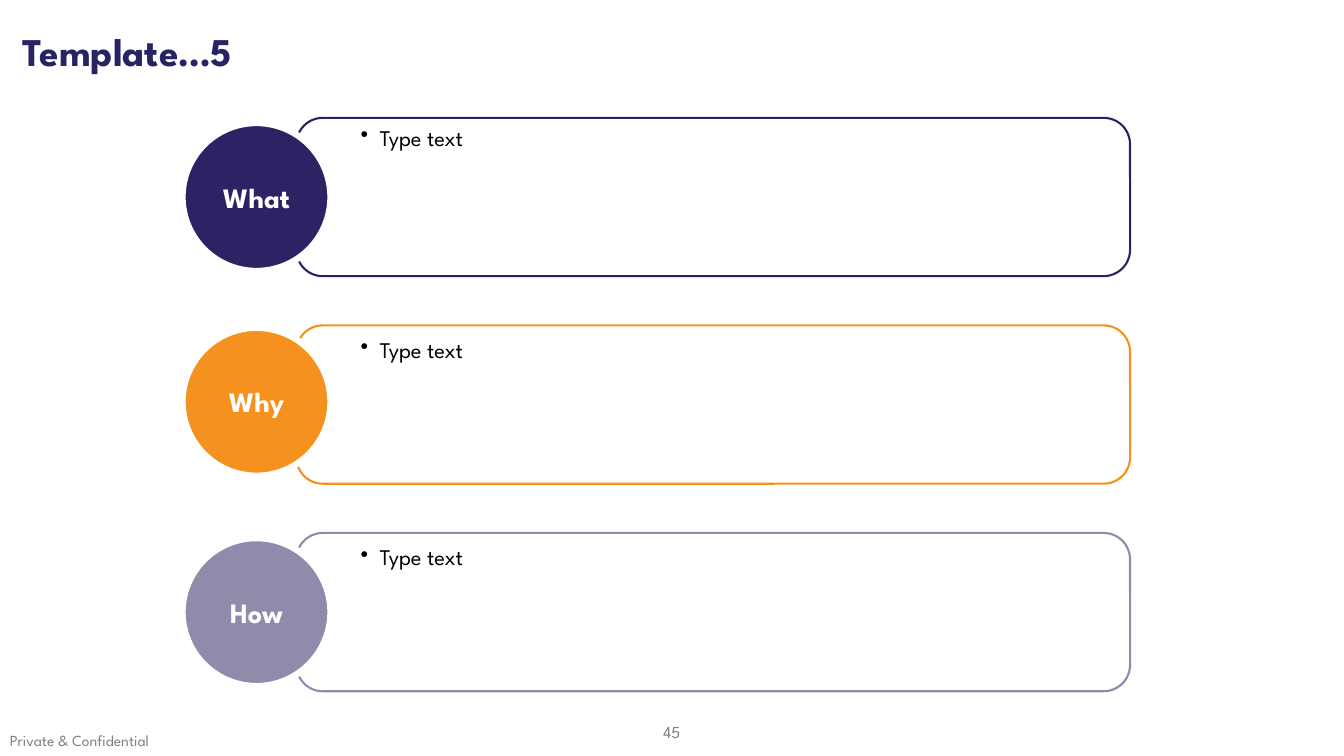
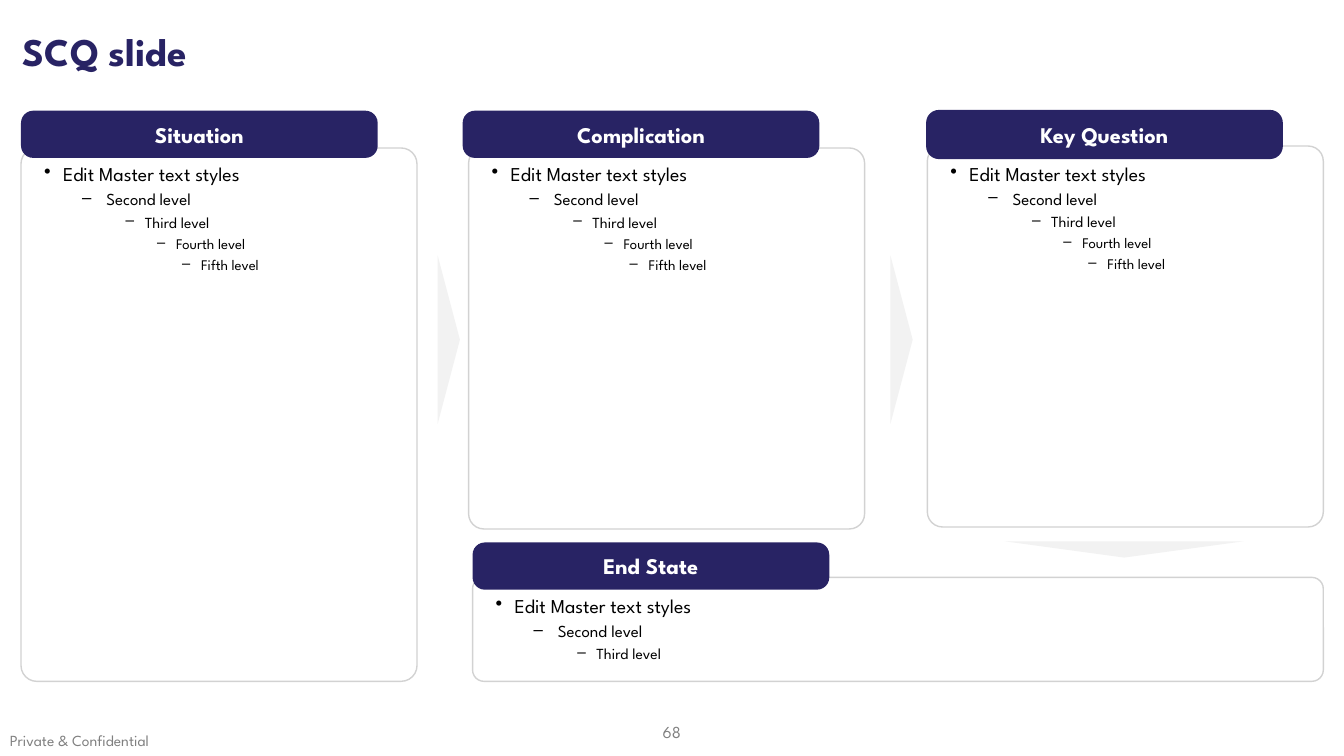
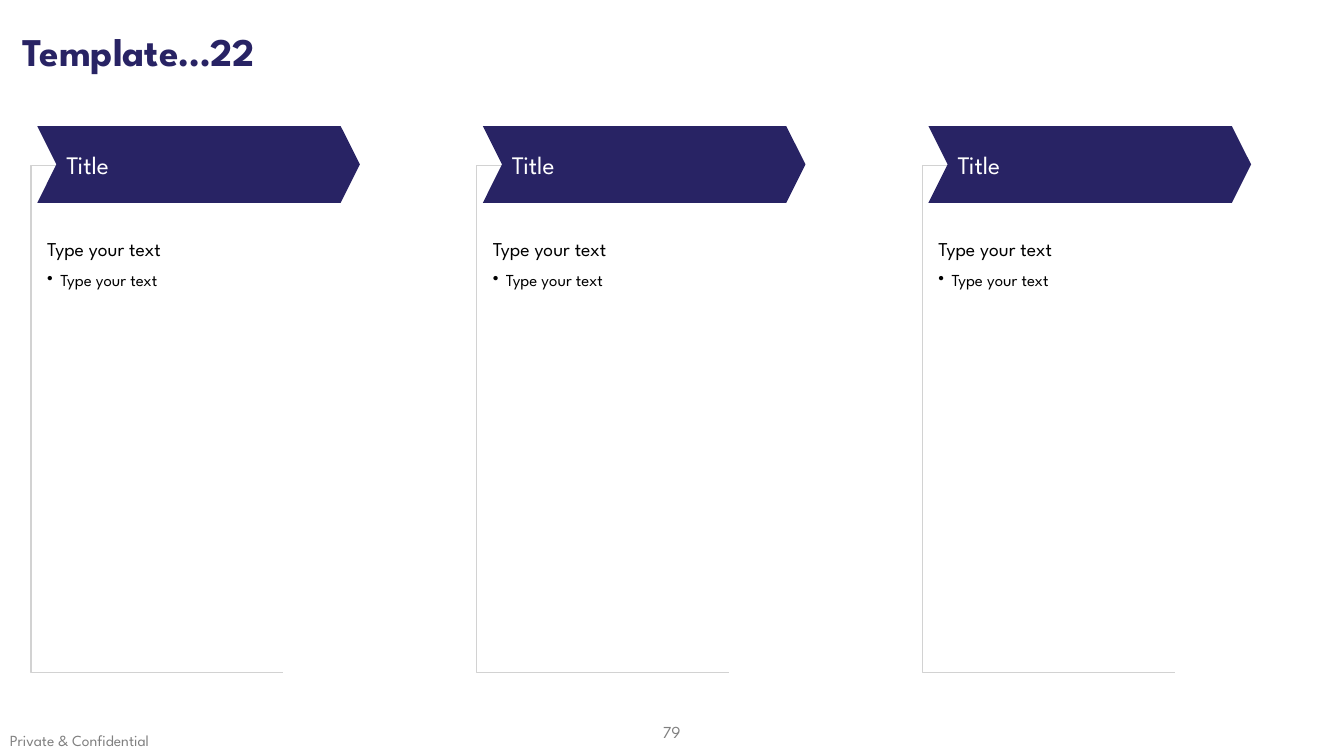
from lxml import etree
from pptx import Presentation
from pptx.dml.color import RGBColor
from pptx.enum.shapes import MSO_CONNECTOR, MSO_SHAPE
from pptx.enum.text import MSO_ANCHOR, PP_ALIGN
from pptx.oxml.ns import qn
from pptx.util import Cm, Pt

ROUNDED = MSO_SHAPE.ROUNDED_RECTANGLE
OVAL = MSO_SHAPE.OVAL
TRIANGLE = MSO_SHAPE.ISOSCELES_TRIANGLE
CHEVRON = MSO_SHAPE.CHEVRON
ELBOW = MSO_CONNECTOR.ELBOW
MIDDLE = MSO_ANCHOR.MIDDLE
LEFT, CENTER = PP_ALIGN.LEFT, PP_ALIGN.CENTER

FONT = "League Spartan"
NAVY, INDIGO, ORANGE, MAUVE = "282364", "2D2364", "F5911E", "918AAA"
WHITE, BLACK, GREY, RULE, PALE = "FFFFFF", "000000", "808080", "D2D2D2", "F2F2F2"


def paint(fill, colour):
    """Give a shape, line or font fill one solid colour."""
    fill.solid()
    fill.fore_color.rgb = RGBColor.from_string(colour)


def write(frame, text, size, colour=BLACK, bold=False, align=LEFT, bullet=None,
          margin=0, indent=0, spacing=1.0, before=0):
    """Add one paragraph, using the empty first one if there is one."""
    frame.word_wrap = True
    para = frame.paragraphs[0]
    if para.runs:
        para = frame.add_paragraph()
        para.space_before = Pt(before)
    para.alignment = align
    para.line_spacing = spacing
    properties = para._p.get_or_add_pPr()
    properties.set("marL", str(Cm(margin)))
    properties.set("indent", str(Cm(indent)))
    if bullet:
        etree.SubElement(properties, qn("a:buChar")).set("char", bullet)
    span = para.add_run()
    span.text = text
    span.font.name = FONT
    span.font.size = Pt(size)
    span.font.bold = bold
    paint(span.font.fill, colour)


deck = Presentation()
deck.slide_width, deck.slide_height = Cm(33.87), Cm(19.05)

# Titles and footers
pages = []
for title, number in (("Template…5", "45"), ("SCQ slide", "68"), ("Template…22", "79")):
    page = deck.slides.add_slide(deck.slide_layouts[6])
    pages.append(page)
    box = page.shapes.add_textbox(Cm(16.18), Cm(17.93), Cm(1.5), Cm(1.02))
    box.text_frame.vertical_anchor = MIDDLE
    write(box.text_frame, number, 12, GREY, align=CENTER)
    box = page.shapes.add_textbox(Cm(0), Cm(18.31), Cm(8.43), Cm(0.74))
    write(box.text_frame, "Private & Confidential", 11, GREY)
    box = page.shapes.add_textbox(Cm(0), Cm(0.03), deck.slide_width, Cm(2.67))
    box.text_frame.vertical_anchor = MIDDLE
    write(box.text_frame, title, 28, NAVY, bold=True, margin=0.33, spacing=0.9)
what_page, scq_page, chevron_page = pages

# What, why and how rows
rows = (
    ("What", INDIGO, 3.1, 3.0),
    ("Why", ORANGE, 8.26, 8.33),
    ("How", MAUVE, 13.56, 13.56),
)
for index, (label, colour, circle_top, text_top) in enumerate(rows):
    panel = what_page.shapes.add_shape(
        ROUNDED, Cm(7.47), Cm(2.97 + 5.23 * index), Cm(21.01), Cm(3.99))
    panel.shadow.inherit = False
    panel.fill.background()
    paint(panel.line.fill, colour)
    panel.line.width = Pt(1.5)

    circle = what_page.shapes.add_shape(OVAL, Cm(4.6), Cm(circle_top), Cm(3.73), Cm(3.73))
    circle.shadow.inherit = False
    paint(circle.fill, colour)
    paint(circle.line.fill, WHITE)
    circle.line.width = Pt(4.5)
    write(circle.text_frame, label, 20, WHITE, bold=True, align=CENTER)

    box = what_page.shapes.add_textbox(Cm(8.33), Cm(text_top), Cm(17.27), Cm(0.94))
    box.text_frame.vertical_anchor = MIDDLE
    write(box.text_frame, "Type text", 16, bullet="•", margin=0.99, indent=-0.48)

# Situation, complication, question and end state
levels = (
    ("Edit Master text styles", 14, "•", 0.81, -0.48),
    ("Second level", 12, "–", 1.9, -0.61),
    ("Third level", 11, "–", 2.87, -0.48),
    ("Fourth level", 10.5, "–", 3.66, -0.48),
    ("Fifth level", 10.5, "–", 4.29, -0.48),
)
# Label, header (left, top, height), panel (left, top, width, height), corner, levels
panels = (
    ("Situation", (0.53, 2.79, 1.19), (0.53, 3.73, 9.98, 13.44), 0.04, 5),
    ("Complication", (11.66, 2.79, 1.19), (11.81, 3.73, 9.98, 9.6), 0.04, 5),
    ("Key Question", (23.34, 2.77, 1.24), (23.37, 3.68, 9.98, 9.6), 0.04, 5),
    ("End State", (11.91, 13.67, 1.19), (11.91, 14.55, 21.44, 2.62), 0.11, 3),
)
for label, (header_left, header_top, header_height), area, corner, depth in panels:
    left, top, width, height = area
    panel = scq_page.shapes.add_shape(ROUNDED, Cm(left), Cm(top), Cm(width), Cm(height))
    panel.shadow.inherit = False
    panel.adjustments[0] = corner
    paint(panel.fill, WHITE)
    paint(panel.line.fill, RULE)
    panel.line.width = Pt(1)

    header = scq_page.shapes.add_shape(
        ROUNDED, Cm(header_left), Cm(header_top), Cm(8.99), Cm(header_height))
    header.shadow.inherit = False
    header.adjustments[0] = 0.26
    paint(header.fill, NAVY)
    header.line.fill.background()
    write(header.text_frame, label, 16, WHITE, bold=True, align=CENTER)

    body_top = header_top + 1.24
    box = scq_page.shapes.add_textbox(
        Cm(left), Cm(body_top), Cm(width), Cm(top + height - body_top))
    for text, size, bullet, margin, indent in levels[:depth]:
        write(box.text_frame, text, size, bullet=bullet, margin=margin,
              indent=indent, spacing=0.9, before=3.8)

pointers = (
    (9.19, 8.28, 4.24, 0.56, 90),
    (20.6, 8.28, 4.24, 0.56, 90),
    (25.32, 13.64, 6.02, 0.41, 180),
)
for left, top, width, height, rotation in pointers:
    pointer = scq_page.shapes.add_shape(TRIANGLE, Cm(left), Cm(top), Cm(width), Cm(height))
    pointer.shadow.inherit = False
    pointer.rotation = rotation
    paint(pointer.fill, PALE)
    pointer.line.fill.background()

# Chevron columns
for index in range(3):
    left = 0.94 + 11.23 * index
    bracket = chevron_page.shapes.add_connector(
        ELBOW, Cm(left + 0.48), Cm(4.17), Cm(left + 6.2), Cm(16.94))
    paint(bracket.line.fill, RULE)
    bracket.line.width = Pt(1)
    bracket_properties = bracket._element.spPr
    etree.SubElement(bracket_properties, qn("a:effectLst"))
    # A negative bend carries the bracket out to the left of the chevron
    bend = etree.SubElement(bracket_properties.find(".//" + qn("a:avLst")), qn("a:gd"))
    bend.set("name", "adj1")
    bend.set("fmla", "val -11100")

    box = chevron_page.shapes.add_textbox(Cm(left), Cm(5.54), Cm(7.26), Cm(1.83))
    write(box.text_frame, "Type your text", 14, spacing=1.5)
    write(box.text_frame, "Type your text", 12, bullet="•", margin=0.33,
          indent=-0.33, spacing=1.5)

    chevron = chevron_page.shapes.add_shape(CHEVRON, Cm(left), Cm(3.18), Cm(8.13), Cm(1.93))
    chevron.shadow.inherit = False
    chevron.adjustments[0] = 0.25
    paint(chevron.fill, NAVY)
    chevron.line.fill.background()
    write(chevron.text_frame, "Title", 18, WHITE)

deck.save("out.pptx")
